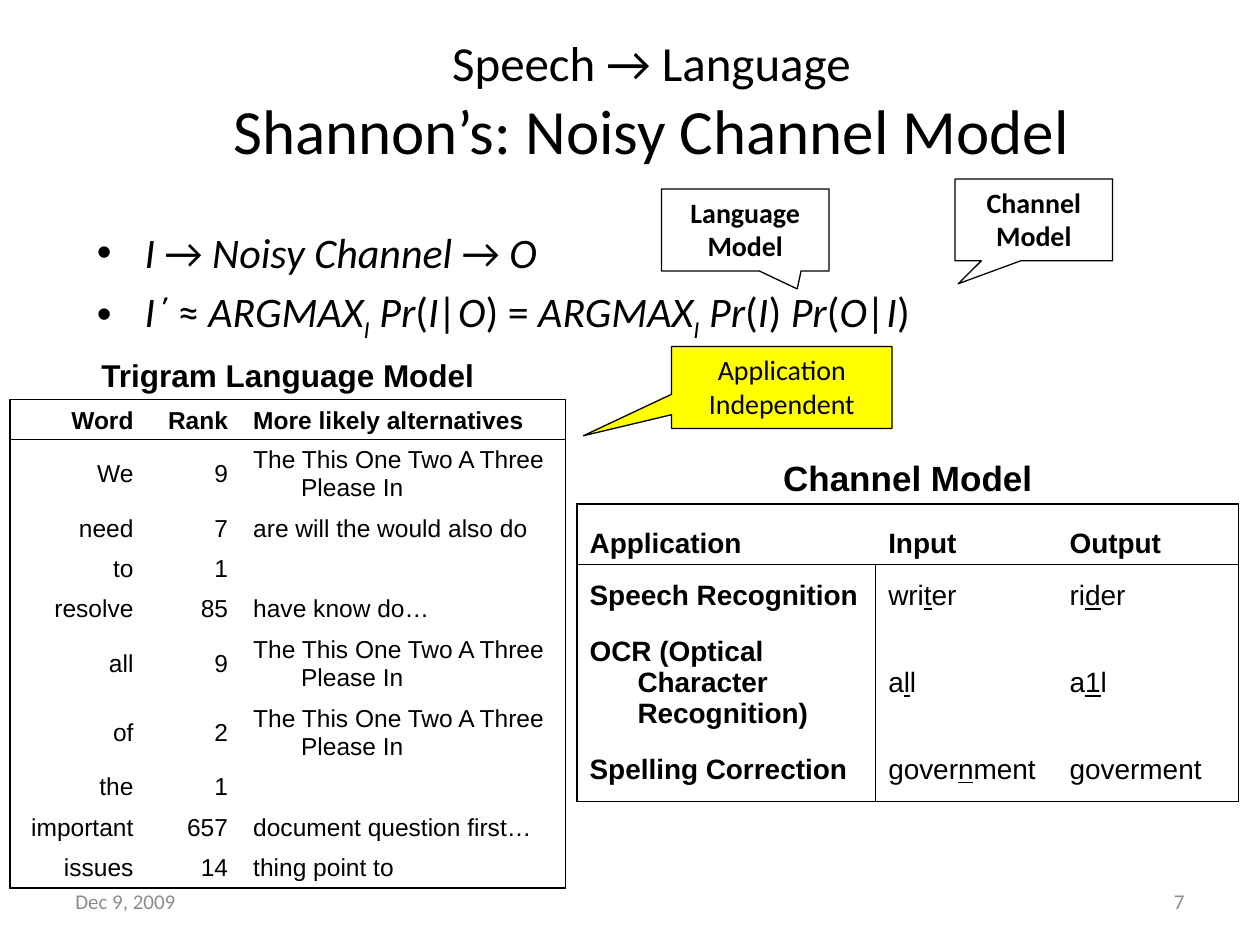
"""Build a slide on Shannon's noisy channel model with two tables and three callouts."""
from lxml import etree
from pptx import Presentation
from pptx import util as u
from pptx.dml.color import RGBColor
from pptx.enum import shapes, text
from pptx.oxml.ns import qn

LEFT, CENTER, RIGHT = text.PP_ALIGN.LEFT, text.PP_ALIGN.CENTER, text.PP_ALIGN.RIGHT
TOP, MIDDLE, BOTTOM = text.MSO_ANCHOR.TOP, text.MSO_ANCHOR.MIDDLE, text.MSO_ANCHOR.BOTTOM
HANG = 0.38

TITLE = [("Speech → Language", 28), ("Shannon’s: Noisy Channel Model", 36)]
EQUATIONS = [
    [("I ", "i"), ("→", ""), (" Noisy Channel ", "i"), ("→ ", ""), ("O", "i")],
    [("I΄", "i"), (" ≈ ", ""), ("ARGMAX", "i"), ("I", "is"), (" Pr", "i"), ("(", ""),
     ("I|O", "i"), (") =", ""), (" ARGMAX", "i"), ("I", "is"), (" Pr", "i"), ("(", ""),
     ("I", "i"), (") ", ""), ("Pr", "i"), ("(", ""), ("O|I", "i"), (")", "")],
]
FOOTERS = [("7", 7.17, RIGHT), ("Dec 9, 2009", 0.5, LEFT)]
CALLOUTS = [
    (["Channel", "Model"], (7.58, 1.42, 1.25, 0.65), (-0.48, 0.78), None, "b"),
    (["Language", "Model"], (5.25, 1.5, 1.33, 0.65), (0.31, 0.72), None, "b"),
    (["Application", "Independent"], (5.33, 2.75, 1.75, 0.65), (-0.9, 0.59), "FFFF00", ""),
]
STARTERS = "The This One Two A Three Please In"
TRIGRAM = {
    "title": ("Trigram Language Model", 18), "size": 14, "at": (0.08, 2.75),
    "columns": [1.08, 0.75, 2.58], "aligns": [RIGHT, RIGHT, LEFT],
    "rows": [0.42, 0.32, 0.54, 0.32, 0.32, 0.32, 0.54, 0.54, 0.32, 0.32, 0.32],
    "header": ["Word", "Rank", "More likely alternatives"], "labelled": False,
    "body": [
        ["We", "9", STARTERS],
        ["need", "7", "are will the would also do"],
        ["to", "1", ""],
        ["resolve", "85", "have know do…"],
        ["all", "9", STARTERS],
        ["of", "2", STARTERS],
        ["the", "1", ""],
        ["important", "657", "document question first…"],
        ["issues", "14", "thing point to"],
    ],
}
CHANNEL = {
    "title": ("Channel Model", 20), "size": 16, "at": (4.58, 2.75),
    "columns": [2.37, 1.44, 1.44], "aligns": [LEFT, LEFT, LEFT],
    "rows": [1.25, 0.48, 0.5, 0.84, 0.5],
    "header": ["Application", "Input", "Output"], "labelled": True,
    "body": [
        ["Speech Recognition", [("wri", ""), ("t", "u"), ("er", "")],
         [("ri", ""), ("d", "u"), ("er", "")]],
        ["OCR (Optical Character Recognition)", [("a", ""), ("l", "u"), ("l", "")],
         [("a", ""), ("1", "u"), ("l", "")]],
        ["Spelling Correction", [("gover", ""), ("n", "u"), ("ment", "")], "goverment"],
    ],
}


def color(value):
    return RGBColor.from_string(value)


def write(paragraph, runs, size, font="Calibri", ink="000000", align=LEFT):
    """Add runs of (words, style), where style letters are b, i, u and s for subscript."""
    paragraph.alignment = align
    for words, style in runs:
        run = paragraph.add_run()
        run.text = words
        run.font.size, run.font.name = u.Pt(size), font
        run.font.color.rgb = color(ink)
        run.font.bold, run.font.italic = "b" in style, "i" in style
        run.font.underline = "u" in style
        if "s" in style:
            run._r.get_or_add_rPr().set("baseline", "-25000")


def hang(paragraph, bullet=None):
    """Give a paragraph a hanging indent and, if asked, a bullet."""
    properties = paragraph._p.get_or_add_pPr()
    properties.set("marL", str(u.Inches(HANG)))
    properties.set("indent", str(-u.Inches(HANG)))
    if bullet:
        etree.SubElement(properties, qn("a:buFont")).set("typeface", "Arial")
        etree.SubElement(properties, qn("a:buChar")).set("char", bullet)


def add_box(slide, at, anchor=MIDDLE):
    frame = slide.shapes.add_textbox(*map(u.Inches, at)).text_frame
    frame.word_wrap, frame.vertical_anchor = True, anchor
    return frame


def set_borders(cell, sides):
    """Draw black one-point lines on the given sides and clear the others."""
    properties = cell._tc.get_or_add_tcPr()
    for place, side in enumerate("LRTB"):
        line = etree.Element(qn(f"a:ln{side}"), w=str(u.Pt(1)))
        if side in sides:
            fill = etree.SubElement(line, qn("a:solidFill"))
            etree.SubElement(fill, qn("a:srgbClr")).set("val", "000000")
        else:
            etree.SubElement(line, qn("a:noFill"))
        properties.insert(place, line)


def fill_cell(cell, content, size, style, align, anchor, sides):
    cell.fill.background()
    cell.vertical_anchor = anchor
    cell.margin_top = cell.margin_bottom = u.Inches(0.04)
    paragraph = cell.text_frame.paragraphs[0]
    hang(paragraph)
    runs = [(content, style)] if isinstance(content, str) else content
    if content:
        write(paragraph, runs, size, "Arial", align=align)
    else:
        etree.SubElement(paragraph._p, qn("a:endParaRPr")).set("sz", str(size * 100))
    set_borders(cell, sides)


def add_grid(slide, data):
    """Add a table with a merged title, a ruled header and an outlined body."""
    columns, rows = data["columns"], data["rows"]
    extent = (*data["at"], sum(columns), sum(rows))
    table = slide.shapes.add_table(len(rows), len(columns), *map(u.Inches, extent)).table
    table.first_row = table.horz_banding = False
    for column, width in zip(table.columns, columns):
        column.width = u.Inches(width)
    for row, height in zip(table.rows, rows):
        row.height = u.Inches(height)

    for c in range(len(columns)):
        title, size = data["title"] if c == 0 else ("", 14)
        fill_cell(table.cell(0, c), title, size, "b", CENTER, BOTTOM, "B")
    table.cell(0, 0).merge(table.cell(0, len(columns) - 1))

    last_row, last_column = len(rows) - 1, len(columns) - 1
    for r, contents in enumerate([data["header"], *data["body"]], 1):
        for c, content in enumerate(contents):
            header, label = r == 1, data["labelled"] and r > 1
            sides = "TB" if header else "T" if r == 2 else "B" if r == last_row else ""
            sides += "L" if c == 0 or (label and c == 1) else ""
            sides += "R" if c == last_column or (label and c == 0) else ""
            style = "b" if header or (label and c == 0) else ""
            fill_cell(table.cell(r, c), content, data["size"], style,
                      data["aligns"][c], BOTTOM if header else MIDDLE, sides)


def add_callout(slide, lines, at, tip, fill, style):
    callout = slide.shapes.add_shape(
        shapes.MSO_SHAPE.RECTANGULAR_CALLOUT, *map(u.Inches, at))
    callout.shadow.inherit = False
    callout.adjustments[0], callout.adjustments[1] = tip
    if fill:
        callout.fill.solid()
        callout.fill.fore_color.rgb = color(fill)
    else:
        callout.fill.background()
    callout.line.color.rgb, callout.line.width = color("000000"), u.Pt(0.75)
    frame = callout.text_frame
    frame.word_wrap, frame.vertical_anchor = True, TOP
    for number, words in enumerate(lines):
        paragraph = frame.add_paragraph() if number else frame.paragraphs[0]
        write(paragraph, [(words, style)], 16, align=CENTER)


def main():
    deck = Presentation()
    deck.slide_width, deck.slide_height = u.Inches(10), u.Inches(7.5)
    slide = deck.slides.add_slide(deck.slide_layouts[6])

    heading = add_box(slide, (0.67, 0.17, 9, 1.25)).paragraphs[0]
    for number, (words, size) in enumerate(TITLE):
        if number:
            heading.add_line_break()
        write(heading, [(words, "")], size, align=CENTER)

    equations = add_box(slide, (0.67, 1.75, 8.5, 1.08), TOP)
    for number, runs in enumerate(EQUATIONS):
        paragraph = equations.add_paragraph() if number else equations.paragraphs[0]
        hang(paragraph, "•")
        paragraph.space_before = u.Pt(5 if number else 0)
        write(paragraph, runs, 24)

    for data in (TRIGRAM, CHANNEL):
        add_grid(slide, data)
    for callout in CALLOUTS:
        add_callout(slide, *callout)
    for words, left, align in FOOTERS:
        footer = add_box(slide, (left, 6.95, 2.33, 0.4))
        write(footer.paragraphs[0], [(words, "")], 12, ink="8C8C8C", align=align)

    deck.save("out.pptx")


if __name__ == "__main__":
    main()
